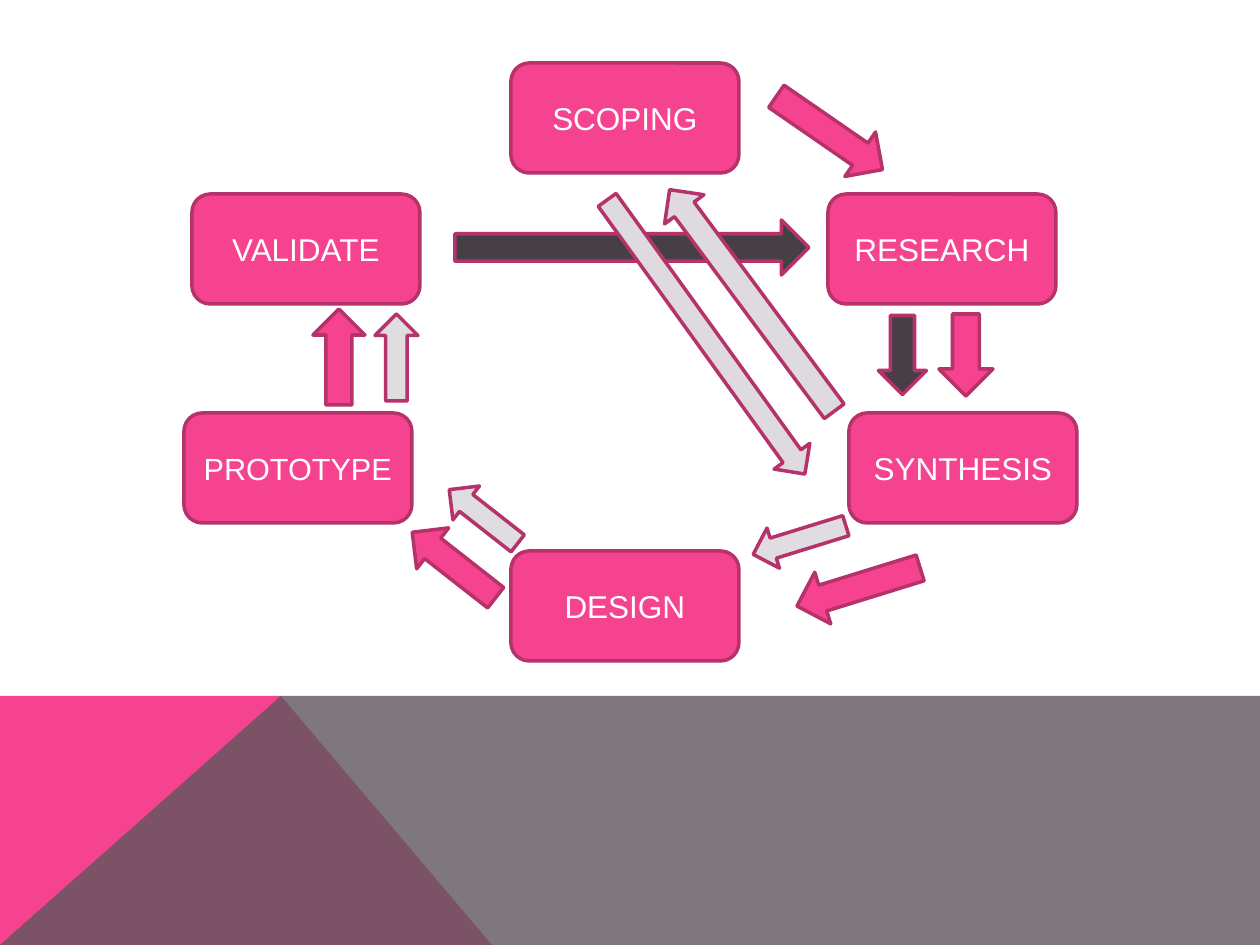
import pptx
import pptx.util
import pptx.dml.color
import pptx.enum.shapes
import pptx.enum.text
import pptx.oxml.ns
import lxml.etree

PX = 914400 // 126
SLIDE_W, SLIDE_H = 1260, 945
PINK, DARK, LIGHT, PALE = "F6438F", "464046", "DEDADD", "DFDDDF"
OUTLINE, WHITE, GREY = "B6326A", "FFFFFF", "5E565D"

BAND_TOP, PEAK_X, FOOT_X = 696, 281, 492
BANDS = [
    ([(0, SLIDE_H), (0, BAND_TOP), (PEAK_X, BAND_TOP), (FOOT_X, SLIDE_H)], PINK, 100),
    ([(0, SLIDE_H), (PEAK_X, BAND_TOP), (SLIDE_W, BAND_TOP), (SLIDE_W, SLIDE_H)], GREY, 80),
]

STAGE_W, STAGE_H = 228, 110
STAGES = [
    ("SCOPING", 511, 63, 18),
    ("RESEARCH", 828, 194, 18),
    ("SYNTHESIS", 849, 413, 18),
    ("DESIGN", 511, 551, 18),
    ("PROTOTYPE", 184, 413, 17.5),
    ("VALIDATE", 192, 194, 18),
]

ARROWS = [
    (765, 106, 129, 54, 34.6, PINK),
    (925, 328, 82, 54, 90, PINK),
    (794, 560, 129, 54, 162.8, PINK),
    (401, 539, 106, 52, 218.1, PINK),
    (291, 331, 96, 52, 270, PINK),
    (455, 220, 354, 55, 0, DARK),
    (863, 331, 79, 48, 90, DARK),
    (614, 276, 276, 49, 233.4, LIGHT),
    (537, 315, 338, 44, 54.2, LIGHT),
    (751, 519, 97, 42, 162.8, PALE),
    (440, 495, 87, 43, 218.1, PALE),
    (353, 336, 87, 43, 270, PALE),
]


def color(value):
    return pptx.dml.color.RGBColor.from_string(value)


def paint(shape, fill):
    shape.shadow.inherit = False
    shape.fill.solid()
    shape.fill.fore_color.rgb = color(fill)


def add_outlined(slide, kind, box, fill):
    shape = slide.shapes.add_shape(kind, *(v * PX for v in box))
    paint(shape, fill)
    shape.line.color.rgb = color(OUTLINE)
    shape.line.width = pptx.util.Pt(2)
    return shape


def add_band(slide, points, fill, opacity):
    builder = slide.shapes.build_freeform(*points[0], scale=PX)
    builder.add_line_segments(points[1:], close=True)
    band = builder.convert_to_shape()
    paint(band, fill)
    band.line.fill.background()
    if opacity < 100:
        tint = band.fill._xPr.find(".//" + pptx.oxml.ns.qn("a:srgbClr"))
        alpha = lxml.etree.SubElement(tint, pptx.oxml.ns.qn("a:alpha"))
        alpha.set("val", str(opacity * 1000))


def add_stage(slide, label, left, top, size):
    kind = pptx.enum.shapes.MSO_SHAPE.ROUNDED_RECTANGLE
    stage = add_outlined(slide, kind, (left, top, STAGE_W, STAGE_H), PINK)
    frame = stage.text_frame
    frame.vertical_anchor = pptx.enum.text.MSO_ANCHOR.MIDDLE
    paragraph = frame.paragraphs[0]
    paragraph.text = label
    paragraph.alignment = pptx.enum.text.PP_ALIGN.CENTER
    paragraph.font.name = "Arial"
    paragraph.font.size = pptx.util.Pt(size)
    paragraph.font.color.rgb = color(WHITE)


def main():
    deck = pptx.Presentation()
    deck.slide_width, deck.slide_height = SLIDE_W * PX, SLIDE_H * PX
    slide = deck.slides.add_slide(deck.slide_layouts[6])
    for band in BANDS:
        add_band(slide, *band)
    for stage in STAGES:
        add_stage(slide, *stage)
    for *box, angle, fill in ARROWS:
        arrow = add_outlined(slide, pptx.enum.shapes.MSO_SHAPE.RIGHT_ARROW, box, fill)
        arrow.rotation = angle
    deck.save("out.pptx")


if __name__ == "__main__":
    main()
